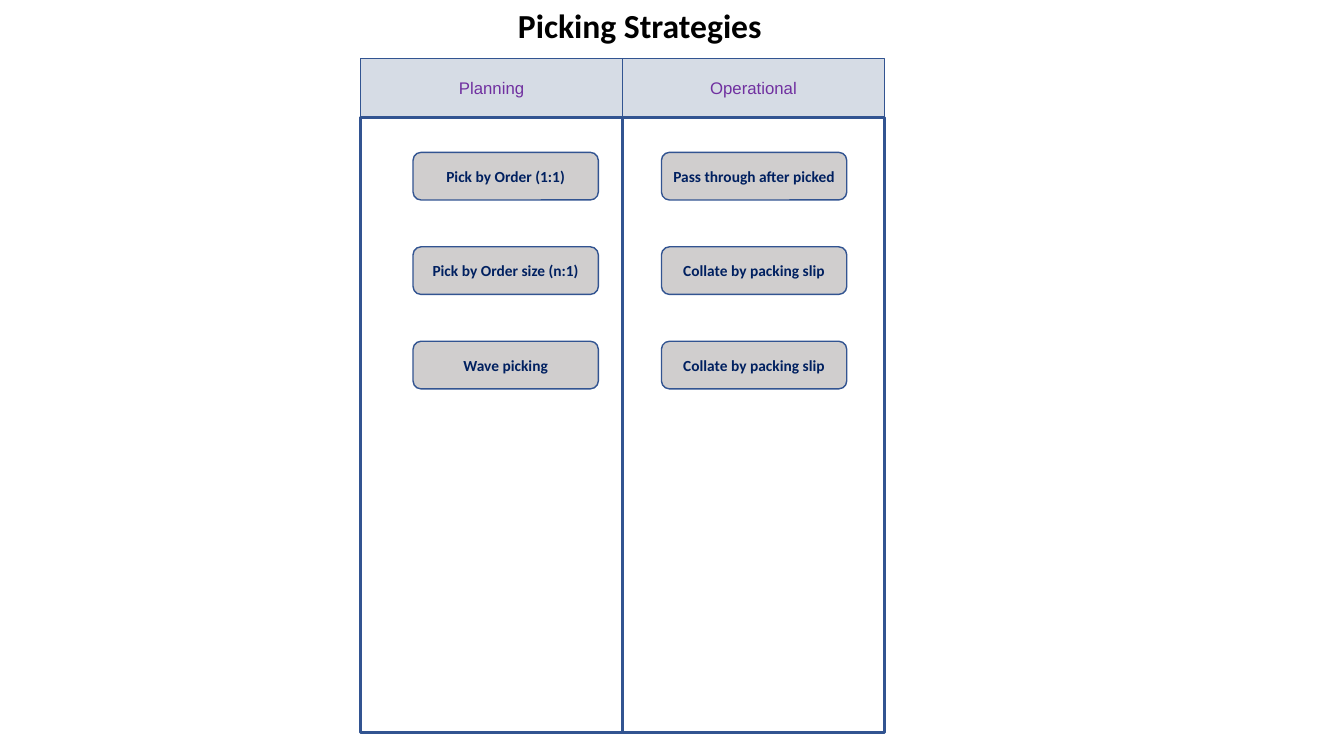
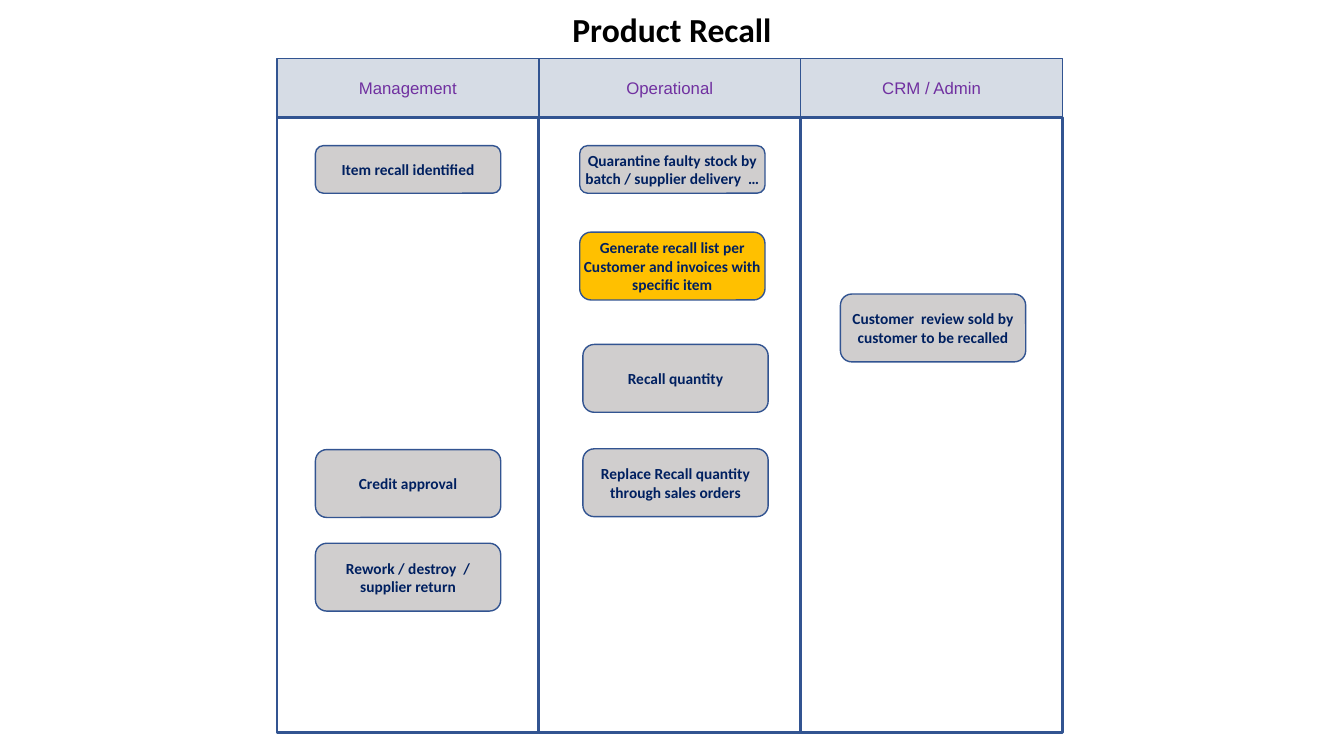
import pptx
import pptx.dml.color
import pptx.enum.shapes
import pptx.enum.text
import pptx.util

Cm, Pt = pptx.util.Cm, pptx.util.Pt
SHAPE = pptx.enum.shapes.MSO_SHAPE

COLORS = {
    "title": "000000",
    "outline": "325491",
    "header": "D6DCE5",
    "header_text": "7030A0",
    "step": "D0CECE",
    "highlight": "FFC000",
    "step_text": "002060",
}

SLIDE_W, SLIDE_H = 33.87, 19.05
LANE_W = 6.6
HEADER_TOP, HEADER_H = 1.47, 1.5
BODY_H = 15.49
STEP_W, LOW, TALL = 4.67, 1.2, 1.71
STRATEGY_TOPS = [3.84 + 2.38 * row for row in range(3)]


def strategy_steps(inset, texts):
    """Steps of one lane on the evenly spaced strategy rows."""
    return [(text, inset, top, LOW, "step") for text, top in zip(texts, STRATEGY_TOPS)]


# A step is (text, inset from the lane's left edge, top, height, fill), lengths in cm.
SWIMLANES = [
    {
        "title": "Picking Strategies",
        "title_box": (0.2, 0, 31.85),
        "left": 9.09,
        "lanes": [
            ("Planning", strategy_steps(1.32, [
                "Pick by Order (1:1)", "Pick by Order size (n:1)", "Wave picking"])),
            ("Operational", strategy_steps(0.98, [
                "Pass through after picked", "Collate by packing slip",
                "Collate by packing slip"])),
        ],
    },
    {
        "title": "Product Recall",
        "title_box": (0, 0.1, SLIDE_W),
        "left": 6.98,
        "lanes": [
            ("Management", [
                ("Item recall identified", 0.97, 3.67, LOW, "step"),
                ("Credit approval", 0.97, 11.33, TALL, "step"),
                ("Rework / destroy  / supplier return", 0.97, 13.69, TALL, "step"),
            ]),
            ("Operational", [
                ("Quarantine faulty stock by batch / supplier delivery  …",
                 1.03, 3.67, LOW, "step"),
                ("Generate recall list per Customer and invoices with specific item",
                 1.03, 5.85, TALL, "highlight"),
                ("Recall quantity", 1.11, 8.68, TALL, "step"),
                ("Replace Recall quantity through sales orders",
                 1.11, 11.31, TALL, "step"),
            ]),
            ("CRM / Admin", [
                ("Customer  review sold by customer to be recalled",
                 1.0, 7.41, TALL, "step"),
            ]),
        ],
    },
]


def rgb(name):
    return pptx.dml.color.RGBColor.from_string(COLORS[name])


def write(shape, text, font_name, size, color, bold=False):
    shape.text_frame.word_wrap = True
    paragraph = shape.text_frame.paragraphs[0]
    paragraph.text = text
    paragraph.alignment = pptx.enum.text.PP_ALIGN.CENTER
    font = paragraph.font
    font.name, font.size, font.bold = font_name, Pt(size), bold
    font.color.rgb = rgb(color)


def add_box(slide, preset, left, top, width, height, fill=None, line_width=1):
    box = slide.shapes.add_shape(preset, Cm(left), Cm(top), Cm(width), Cm(height))
    box.shadow.inherit = False
    if fill:
        box.fill.solid()
        box.fill.fore_color.rgb = rgb(fill)
    else:
        box.fill.background()
    box.line.color.rgb = rgb("outline")
    box.line.width = Pt(line_width)
    box.text_frame.vertical_anchor = pptx.enum.text.MSO_ANCHOR.MIDDLE
    return box


def add_title(slide, text, left, top, width):
    title = slide.shapes.add_textbox(Cm(left), Cm(top), Cm(width), Cm(1.28))
    write(title, text, "Calibri", 24, "title", bold=True)
    title.text_frame.auto_size = pptx.enum.text.MSO_AUTO_SIZE.SHAPE_TO_FIT_TEXT


def add_lane(slide, left, heading):
    header = add_box(slide, SHAPE.FLOWCHART_PROCESS, left, HEADER_TOP,
                     LANE_W, HEADER_H, "header")
    write(header, heading, "Arial", 12, "header_text")
    add_box(slide, SHAPE.RECTANGLE, left, HEADER_TOP + HEADER_H,
            LANE_W, BODY_H, line_width=2)


def add_step(slide, lane_left, text, inset, top, height, fill):
    step = add_box(slide, SHAPE.ROUNDED_RECTANGLE, lane_left + inset, top,
                   STEP_W, height, fill)
    step.text_frame.margin_left = step.text_frame.margin_right = 0
    write(step, text, "Calibri", 11, "step_text", bold=True)


def main():
    deck = pptx.Presentation()
    deck.slide_width, deck.slide_height = Cm(SLIDE_W), Cm(SLIDE_H)
    for chart in SWIMLANES:
        slide = deck.slides.add_slide(deck.slide_layouts[6])
        add_title(slide, chart["title"], *chart["title_box"])
        for column, (heading, steps) in enumerate(chart["lanes"]):
            lane_left = chart["left"] + column * LANE_W
            add_lane(slide, lane_left, heading)
            for step in steps:
                add_step(slide, lane_left, *step)
    deck.save("out.pptx")


if __name__ == "__main__":
    main()
